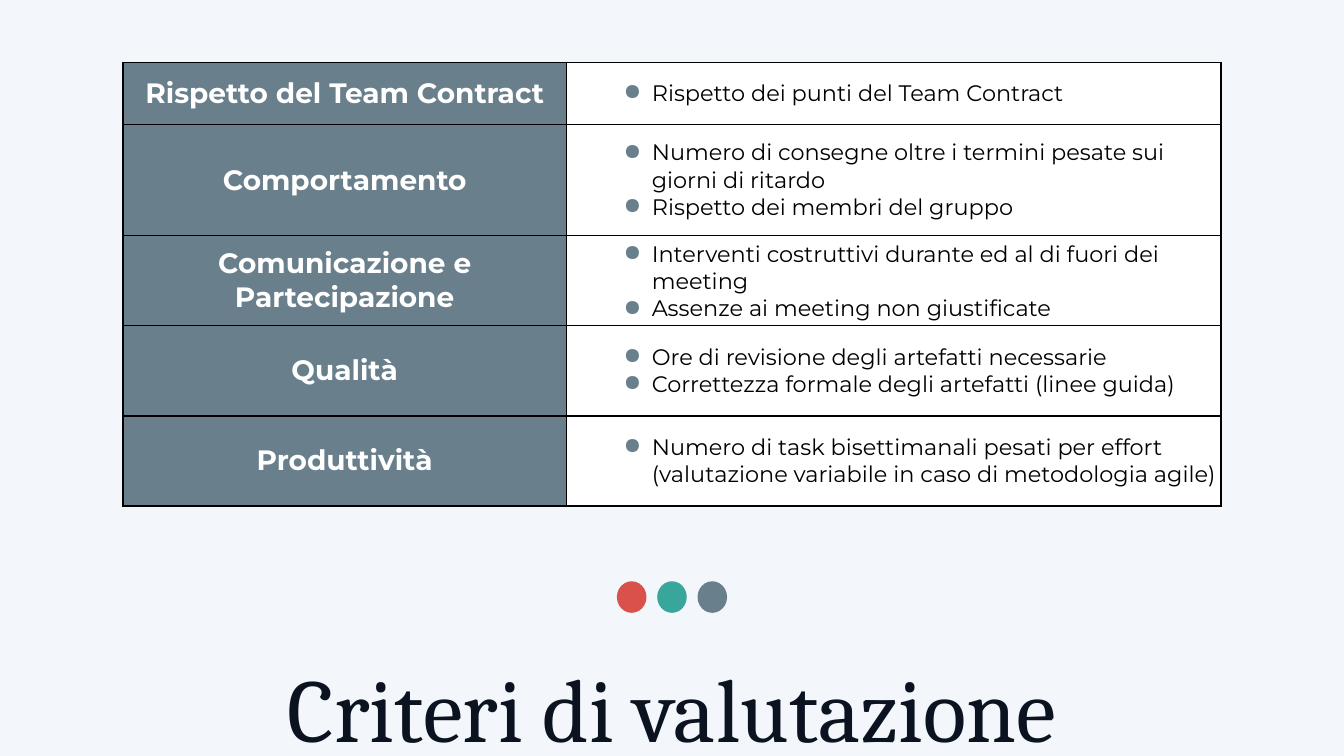
from lxml.etree import SubElement
from pptx import Presentation
from pptx.dml.color import RGBColor
from pptx.enum.shapes import MSO_SHAPE as Shape
from pptx.enum.text import MSO_ANCHOR as Anchor, MSO_AUTO_SIZE as AutoSize, PP_ALIGN as Align
from pptx.oxml.ns import qn
from pptx.util import Inches, Pt

TITLE = "Criteri di valutazione"
CRITERIA = [
    ("Rispetto del Team Contract", ["Rispetto dei punti del Team Contract"]),
    ("Comportamento", [
        "Numero di consegne oltre i termini pesate sui giorni di ritardo",
        "Rispetto dei membri del gruppo",
    ]),
    ("Comunicazione e Partecipazione", [
        "Interventi costruttivi durante ed al di fuori dei meeting",
        "Assenze ai meeting non giustificate",
    ]),
    ("Qualità", [
        "Ore di revisione degli artefatti necessarie",
        "Correttezza formale degli artefatti (linee guida)",
    ]),
    ("Produttività", [
        "Numero di task bisettimanali pesati per effort "
        "(valutazione variabile in caso di metodologia agile)",
    ]),
]
THEME = {
    "background": "F3F6FA", "ink": "0B1320", "slate": "697F8C",
    "red": "D9514A", "teal": "38A69B", "white": "FFFFFF", "black": "000000",
    "title_font": "Cambria", "body_font": "Montserrat",
    "title_size": 96, "name_size": 30, "measure_size": 24, "border": 1.5,
}
DOTS = ["red", "teal", "slate"]
SLIDE_W, SLIDE_H = 20, 11.25
COLUMN_WIDTHS = [6.6, 9.74]
ROW_HEIGHTS = [0.92, 1.66, 1.34, 1.34, 1.34]
TABLE_TOP, CELL_MARGIN = 0.93, 0.07
BULLET_LEFT, BULLET_HANG = 1.2, 0.42
DOT_TOP, DOT_W, DOT_H, DOT_PITCH = 8.65, 0.44, 0.47, 0.6
TITLE_TOP, TITLE_W, TITLE_H = 9.4, 14.18, 1.62


def color(key):
    return RGBColor.from_string(THEME[key])


def add_run(paragraph, words, font, size, ink, bold=False):
    run = paragraph.add_run()
    run.text = words
    run.font.name = THEME[font]
    run.font.size = Pt(THEME[size])
    run.font.bold = bold
    run.font.color.rgb = color(ink)


def add_bullet(paragraph):
    props = paragraph._p.get_or_add_pPr()
    props.set("marL", str(Inches(BULLET_LEFT)))
    props.set("indent", str(-Inches(BULLET_HANG)))
    bullet_color = SubElement(props, qn("a:buClr"))
    SubElement(bullet_color, qn("a:srgbClr"), val=THEME["slate"])
    SubElement(props, qn("a:buChar"), char="●")


def style_cell(cell, fill):
    props = cell._tc.get_or_add_tcPr()
    for side in ("lnL", "lnR", "lnT", "lnB"):
        border = SubElement(props, qn(f"a:{side}"), w=str(Pt(THEME["border"])))
        border_fill = SubElement(border, qn("a:solidFill"))
        SubElement(border_fill, qn("a:srgbClr"), val=THEME["black"])
    cell.fill.solid()
    cell.fill.fore_color.rgb = color(fill)
    cell.vertical_anchor = Anchor.MIDDLE
    cell.margin_left = cell.margin_right = Inches(CELL_MARGIN)
    cell.margin_top = cell.margin_bottom = Inches(CELL_MARGIN)


def add_criteria(slide):
    width = sum(COLUMN_WIDTHS)
    criteria = slide.shapes.add_table(
        len(CRITERIA), len(COLUMN_WIDTHS), Inches((SLIDE_W - width) / 2),
        Inches(TABLE_TOP), Inches(width), Inches(sum(ROW_HEIGHTS))).table
    criteria.first_row = criteria.horz_banding = False
    for column, column_width in zip(criteria.columns, COLUMN_WIDTHS):
        column.width = Inches(column_width)
    for row, height, (name, measures) in zip(criteria.rows, ROW_HEIGHTS, CRITERIA):
        row.height = Inches(height)
        name_cell, measures_cell = row.cells
        style_cell(name_cell, "slate")
        heading = name_cell.text_frame.paragraphs[0]
        heading.alignment = Align.CENTER
        add_run(heading, name, "body_font", "name_size", "white", bold=True)
        style_cell(measures_cell, "white")
        frame = measures_cell.text_frame
        for index, measure in enumerate(measures):
            item = frame.add_paragraph() if index else frame.paragraphs[0]
            add_bullet(item)
            add_run(item, measure, "body_font", "measure_size", "black")


def add_dots(slide):
    first_left = (SLIDE_W - DOT_W - DOT_PITCH * (len(DOTS) - 1)) / 2
    for index, fill in enumerate(DOTS):
        dot = slide.shapes.add_shape(
            Shape.OVAL, Inches(first_left + index * DOT_PITCH), Inches(DOT_TOP),
            Inches(DOT_W), Inches(DOT_H))
        dot.shadow.inherit = False
        dot.fill.solid()
        dot.fill.fore_color.rgb = color(fill)
        dot.line.fill.background()


def add_title(slide):
    title = slide.shapes.add_textbox(
        Inches((SLIDE_W - TITLE_W) / 2), Inches(TITLE_TOP), Inches(TITLE_W), Inches(TITLE_H))
    frame = title.text_frame
    frame.word_wrap = True
    frame.auto_size = AutoSize.SHAPE_TO_FIT_TEXT
    frame.margin_left = frame.margin_right = frame.margin_top = frame.margin_bottom = 0
    heading = frame.paragraphs[0]
    heading.alignment = Align.CENTER
    heading.line_spacing = 1.2
    add_run(heading, TITLE, "title_font", "title_size", "ink")


def main():
    """Build the evaluation criteria slide."""
    deck = Presentation()
    deck.slide_width, deck.slide_height = Inches(SLIDE_W), Inches(SLIDE_H)
    slide = deck.slides.add_slide(deck.slide_layouts[6])
    slide.background.fill.solid()
    slide.background.fill.fore_color.rgb = color("background")
    add_title(slide)
    add_criteria(slide)
    add_dots(slide)
    deck.save("out.pptx")


if __name__ == "__main__":
    main()
